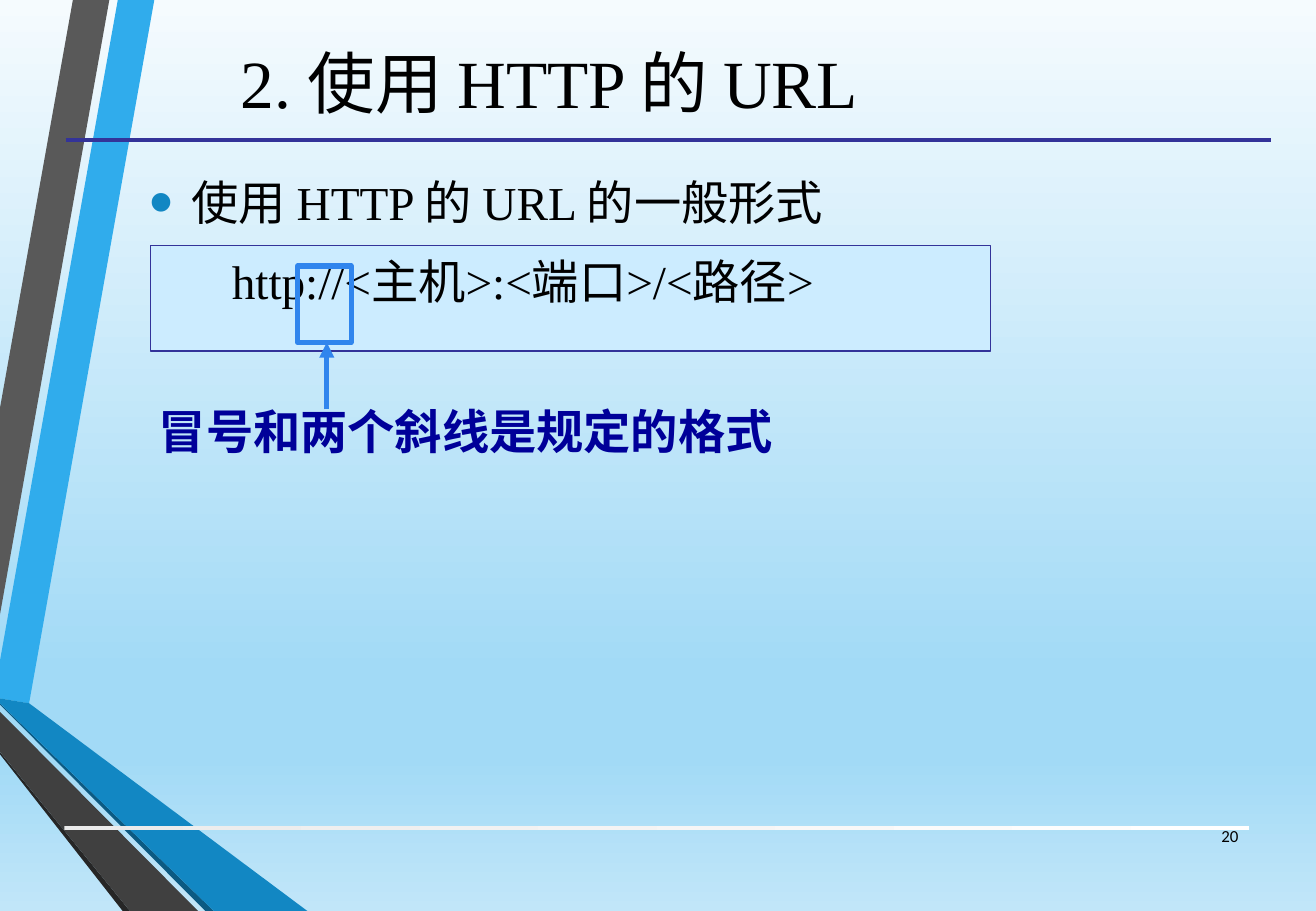
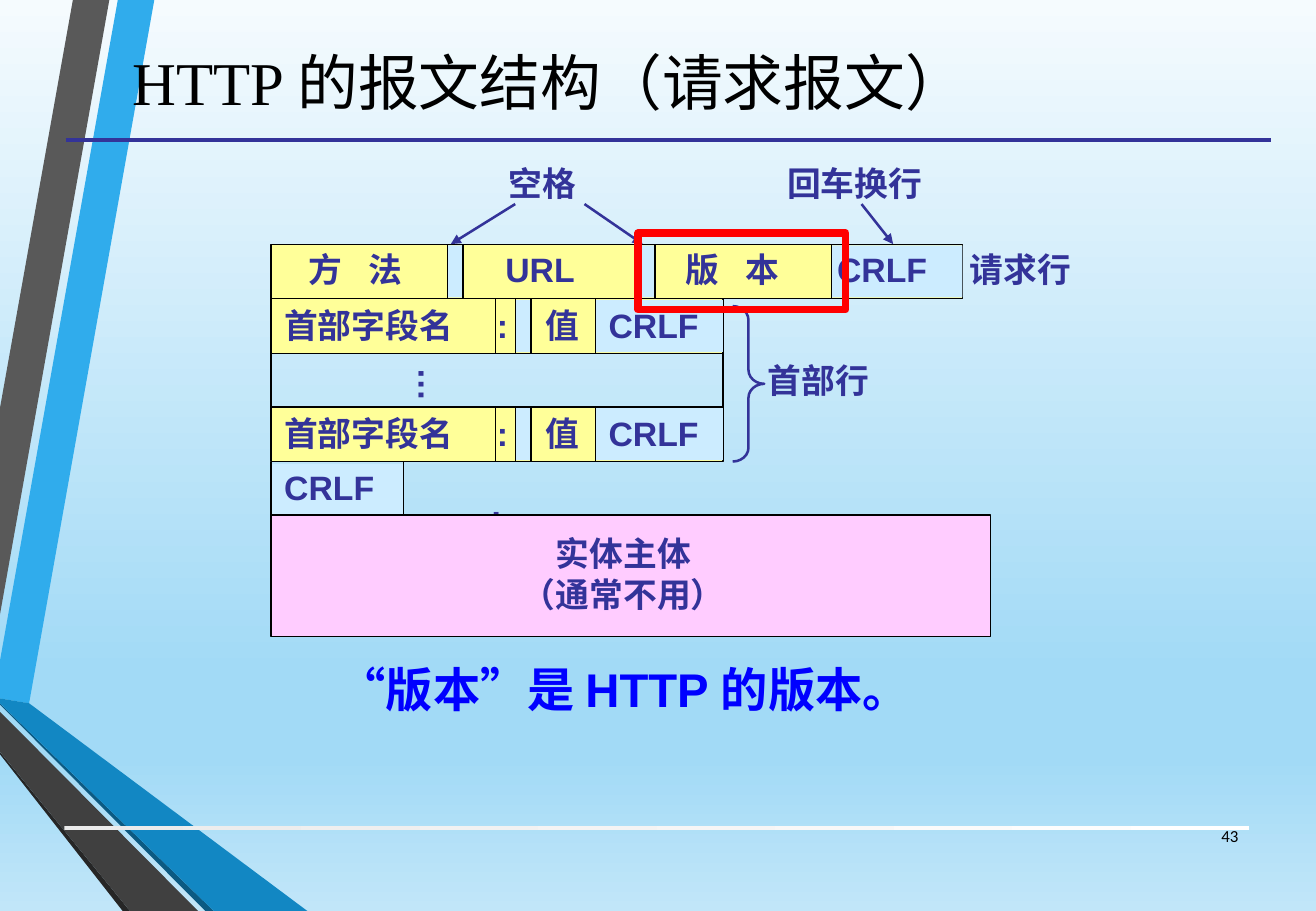
"""Build two slides on HTTP: the URL form and the request message structure."""
from copy import deepcopy
from dataclasses import dataclass

from lxml.etree import SubElement
from pptx import Presentation
from pptx.dml.color import RGBColor
from pptx.enum.shapes import MSO_CONNECTOR, MSO_SHAPE
from pptx.enum.text import MSO_ANCHOR, MSO_AUTO_SIZE as AutoSize, PP_ALIGN
from pptx.oxml.ns import qn
from pptx.util import Pt

PX = 9144
TITLE_ONLY = 5


@dataclass(frozen=True)
class Theme:
    black: str = "000000"
    indigo: str = "333399"
    navy: str = "000099"
    blue: str = "0000FF"
    highlight: str = "3085ED"
    red: str = "FF0000"
    bullet: str = "1287C3"
    pale_blue: str = "CCECFF"
    yellow: str = "FFFF99"
    pink: str = "FFCCFF"
    background: tuple = ((0, "F5FBFE"), (74, "A2DAF6"), (83, "A2DAF6"), (100, "C1E6F9"))
    footer: tuple = ((0, "EBEBEB"), (100, "FFFFFF"))
    serif: str = "Times New Roman"
    sans: str = "Arial"
    callout: str = "Cabin"
    number: str = "Calibri"
    chinese: str = "Noto Sans CJK SC"
    body_size: int = 28
    label_size: int = 20
    number_size: int = 10


THEME = Theme()

BANDS = (
    ("30ACEC", [(0, 544), (0, 575), (24, 579), (127, 0), (97, 0)]),
    ("595959", [(90, 0), (60, 0), (0, 336), (0, 506)]),
    ("262626", [(0, 619), (0, 621), (101, 750), (107, 750)]),
    ("0C5A82", [(0, 579), (0, 580), (169, 750), (176, 750)]),
    ("1287C3", [(0, 579), (176, 750), (253, 750), (24, 579), (0, 575)]),
    ("404040", [(0, 619), (107, 750), (163, 750), (0, 586)]),
)

ROW_HEIGHT = 45
LEFT = 223
REQUEST_TOP, FIELD_TOPS = 201, (246, 335)
REQUEST_EDGES = (368, 381, 526, 539, 684, 792)
REQUEST_BLANKS = ((368, 381), (526, 539), (684, 792))
FIELD_EDGES = (408, 424, 437, 490, 595)
FIELD_BLANKS = ((424, 437), (490, 595))


def rgb(color):
    """Turn a hex string into a colour."""
    return RGBColor.from_string(color)


def paint_gradient(fill, element, stops, angle):
    """Give a fill the listed gradient stops and a counter-clockwise angle."""
    fill.gradient()
    fill.gradient_angle = angle
    stop_list = next(element.iter(qn("a:gsLst")))
    while len(stop_list) < len(stops):
        stop_list.append(deepcopy(stop_list[0]))
    for stop, (percent, color) in zip(fill.gradient_stops, stops):
        stop.position = percent / 100
        stop.color.rgb = rgb(color)


def style(shape, fill=None, line=None, weight=0.75):
    """Set the fill and outline of a shape and drop its shadow."""
    shape.shadow.inherit = False
    if fill:
        shape.fill.solid()
        shape.fill.fore_color.rgb = rgb(fill)
    else:
        shape.fill.background()
    if line:
        shape.line.color.rgb = rgb(line)
        shape.line.width = Pt(weight)
    else:
        shape.line.fill.background()
    return shape


def add_box(slide, left, top, width, height, kind=MSO_SHAPE.RECTANGLE, **look):
    """Add a preset shape."""
    shape = slide.shapes.add_shape(kind, left * PX, top * PX, width * PX, height * PX)
    return style(shape, **look)


def add_line(slide, start, end, color=THEME.black, weight=0.75, arrow=False):
    """Add a straight line, with an arrowhead at its end if asked."""
    ends = [value * PX for value in (*start, *end)]
    line = slide.shapes.add_connector(MSO_CONNECTOR.STRAIGHT, *ends)
    line.line.color.rgb = rgb(color)
    line.line.width = Pt(weight)
    if arrow:
        outline = next(line.element.iter(qn("a:ln")))
        SubElement(outline, qn("a:tailEnd"), type="triangle")
    SubElement(line.element.spPr, qn("a:effectLst"))
    return line


def write(shape, *paragraphs, size=THEME.label_size, font=THEME.sans, color=THEME.indigo,
          bold=False, align=PP_ALIGN.LEFT, anchor=MSO_ANCHOR.TOP, wrap=False,
          fit=AutoSize.NONE, tracking=0):
    """Fill a shape with paragraphs, each a string or a list of (text, font) runs."""
    frame = shape.text_frame
    frame.word_wrap = wrap
    frame.auto_size = fit
    frame.vertical_anchor = anchor
    for index, content in enumerate(paragraphs):
        paragraph = frame.add_paragraph() if index else frame.paragraphs[0]
        paragraph.alignment = align
        for text, name in [(content, font)] if isinstance(content, str) else content:
            run = paragraph.add_run()
            run.text = text
            run.font.size = Pt(size)
            run.font.bold = bold
            run.font.color.rgb = rgb(color)
            run.font.name = name
            properties = run.font._element if hasattr(run.font, "_element") else run._r.get_or_add_rPr()
            SubElement(properties, qn("a:ea"), typeface=THEME.chinese)
            if tracking:
                properties.set("spc", str(round(tracking * 100)))
    return frame.paragraphs


def add_text(slide, left, top, width, height, *paragraphs, **format):
    """Add a text box and return its paragraphs."""
    box = slide.shapes.add_textbox(left * PX, top * PX, width * PX, height * PX)
    return write(box, *paragraphs, **format)


def add_label(slide, text, left, top, width, **format):
    """Add a bold one-line diagram label."""
    add_text(slide, left, top, width, 44, text, bold=True,
             fit=AutoSize.SHAPE_TO_FIT_TEXT, **format)


def indent(paragraph, margin, first_line=0, bullet=None):
    """Indent a paragraph and optionally give it a coloured bullet."""
    properties = paragraph._p.get_or_add_pPr()
    properties.set("marL", str(margin * PX))
    properties.set("indent", str(first_line * PX))
    if bullet:
        color = SubElement(properties, qn("a:buClr"))
        SubElement(color, qn("a:srgbClr"), val=THEME.bullet)
        SubElement(properties, qn("a:buSzPct"), val="145000")
        SubElement(properties, qn("a:buFont"), typeface=THEME.sans)
        SubElement(properties, qn("a:buChar"), char=bullet)


def add_slide(presentation, title, size, number):
    """Add a slide with its title and page number."""
    slide = presentation.slides.add_slide(presentation.slide_layouts[TITLE_ONLY])
    shape = slide.shapes.title
    shape.left, shape.top, shape.width, shape.height = 43 * PX, 5 * PX, 818 * PX, 124 * PX
    write(shape, title, size=size, font=THEME.serif, color=THEME.black,
          align=PP_ALIGN.CENTER, anchor=MSO_ANCHOR.MIDDLE, wrap=True)
    add_text(slide, 978, 668, 51, 40, number, size=THEME.number_size, font=THEME.number,
             color=THEME.black, align=PP_ALIGN.RIGHT, anchor=MSO_ANCHOR.MIDDLE, wrap=True)
    return slide


def decorate_layout(presentation, slide):
    """Draw the shared bands and rules and move them to the layout."""
    master, layout = presentation.slide_master, slide.slide_layout
    paint_gradient(master.background.fill, master.element, THEME.background, 270)
    for placeholder in list(layout.placeholders)[1:]:
        layout.shapes.element.remove(placeholder.element)
    decorations = []
    for color, points in BANDS:
        builder = slide.shapes.build_freeform(*points[0], scale=PX)
        builder.add_line_segments(points[1:], close=True)
        decorations.append(style(builder.convert_to_shape(), fill=color))
    footer = add_box(slide, 53, 680, 975, 3)
    paint_gradient(footer.fill, footer.element, THEME.footer, 0)
    rule = add_line(slide, (54, 115), (1046, 115), THEME.indigo, 2.25)
    for shape in (*decorations, footer, rule):
        layout.shapes.element.append(shape.element)


def add_row(slide, top, edges, blanks):
    """Draw a message row: yellow cells, pale blue blanks and dividers."""
    add_box(slide, LEFT, top, edges[-1] - LEFT, ROW_HEIGHT, fill=THEME.yellow, line=THEME.black)
    for start, end in blanks:
        add_box(slide, start, top + 1, end - start, ROW_HEIGHT - 2, fill=THEME.pale_blue)
    for edge in edges[:-1]:
        add_line(slide, (edge, top), (edge, top + ROW_HEIGHT))


def draw_url_form(slide):
    """Show the general form of an HTTP URL."""
    add_box(slide, 124, 202, 691, 87, fill=THEME.pale_blue, line=THEME.indigo)
    heading, form = add_text(
        slide, 113, 92, 913, 213, "使用 HTTP 的 URL 的一般形式", "http://<主机>:<端口>/<路径>",
        size=THEME.body_size, font=THEME.serif, color=THEME.black,
        anchor=MSO_ANCHOR.MIDDLE, wrap=True)
    indent(heading, 35, -35, "•")
    indent(form, 68)
    heading.space_after = Pt(6)
    form.space_before = Pt(7)
    add_box(slide, 245, 219, 44, 63, line=THEME.highlight, weight=3)
    add_line(slide, (269, 337), (269, 282), THEME.highlight, 3, arrow=True)
    add_text(slide, 121, 326, 531, 57, "冒号和两个斜线是规定的格式", size=THEME.body_size,
             font=THEME.callout, color=THEME.navy, bold=True, fit=AutoSize.SHAPE_TO_FIT_TEXT)


def draw_request(slide):
    """Show the structure of an HTTP request message."""
    for top in FIELD_TOPS:
        add_row(slide, top, FIELD_EDGES, FIELD_BLANKS)
    add_row(slide, REQUEST_TOP, REQUEST_EDGES, REQUEST_BLANKS)
    add_box(slide, 224, 382, 108, 42, fill=THEME.pale_blue)
    for edge, top in ((LEFT, 290), (595, 290), (LEFT, 380), (332, 380)):
        add_line(slide, (edge, top), (edge, top + ROW_HEIGHT))
    add_label(slide, ":", 394, 403, 29)
    add_box(slide, LEFT, 424, 592, 100, fill=THEME.pink, line=THEME.black)
    add_text(slide, 419, 434, 188, 77, "实体主体", "（通常不用）", bold=True,
             align=PP_ALIGN.CENTER, fit=AutoSize.SHAPE_TO_FIT_TEXT)
    for top in FIELD_TOPS:
        for text, left, width in (("首部字段名", 224, 160), (":", 399, 29),
                                  ("值", 439, 48), ("CRLF", 491, 95)):
            add_label(slide, text, left, top, width)
    for text, left, top, width in (
            ("URL", 406, 200, 78), ("CRLF", 679, 200, 95), ("请求行", 788, 200, 104),
            ("首部行", 622, 291, 104), ("CRLF", 224, 379, 95),
            ("空格", 409, 129, 76), ("回车换行", 638, 129, 132)):
        add_label(slide, text, left, top, width)
    for text, left in (("方 法", 244), ("版 本", 554)):
        add_label(slide, text, left, 200, 99, tracking=5.5)
    ellipsis = slide.shapes.add_textbox(314 * PX, 294 * PX, 48 * PX, 44 * PX)
    ellipsis.rotation = 270
    write(ellipsis, "…", bold=True, fit=AutoSize.SHAPE_TO_FIT_TEXT)
    brace = add_box(slide, 603, 252, 26, 128, MSO_SHAPE.RIGHT_BRACE,
                    line=THEME.indigo, weight=1.5)
    brace.adjustments[0] = 0.44
    for start, end in ((481, 529), (424, 371), (709, 735)):
        add_line(slide, (start, 168), (end, 201), THEME.indigo, 1.5, arrow=True)
    sentence = [("“版本”", THEME.sans), ("是 ", THEME.chinese), ("HTTP ", THEME.sans),
                ("的版本", THEME.chinese), ("。", THEME.sans)]
    add_text(slide, 269, 539, 503, 57, sentence, size=THEME.body_size, color=THEME.blue,
             bold=True, wrap=True, fit=AutoSize.SHAPE_TO_FIT_TEXT)
    add_box(slide, 525, 192, 171, 63, line=THEME.red, weight=4.5)


def main():
    """Build and save the presentation."""
    presentation = Presentation()
    presentation.slide_width, presentation.slide_height = 1083 * PX, 750 * PX
    url_slide = add_slide(presentation, "2. 使用 HTTP 的 URL", 40, "20")
    decorate_layout(presentation, url_slide)
    draw_url_form(url_slide)
    request_slide = add_slide(presentation, "HTTP 的报文结构（请求报文）", 36, "43")
    draw_request(request_slide)
    presentation.save("out.pptx")


if __name__ == "__main__":
    main()
